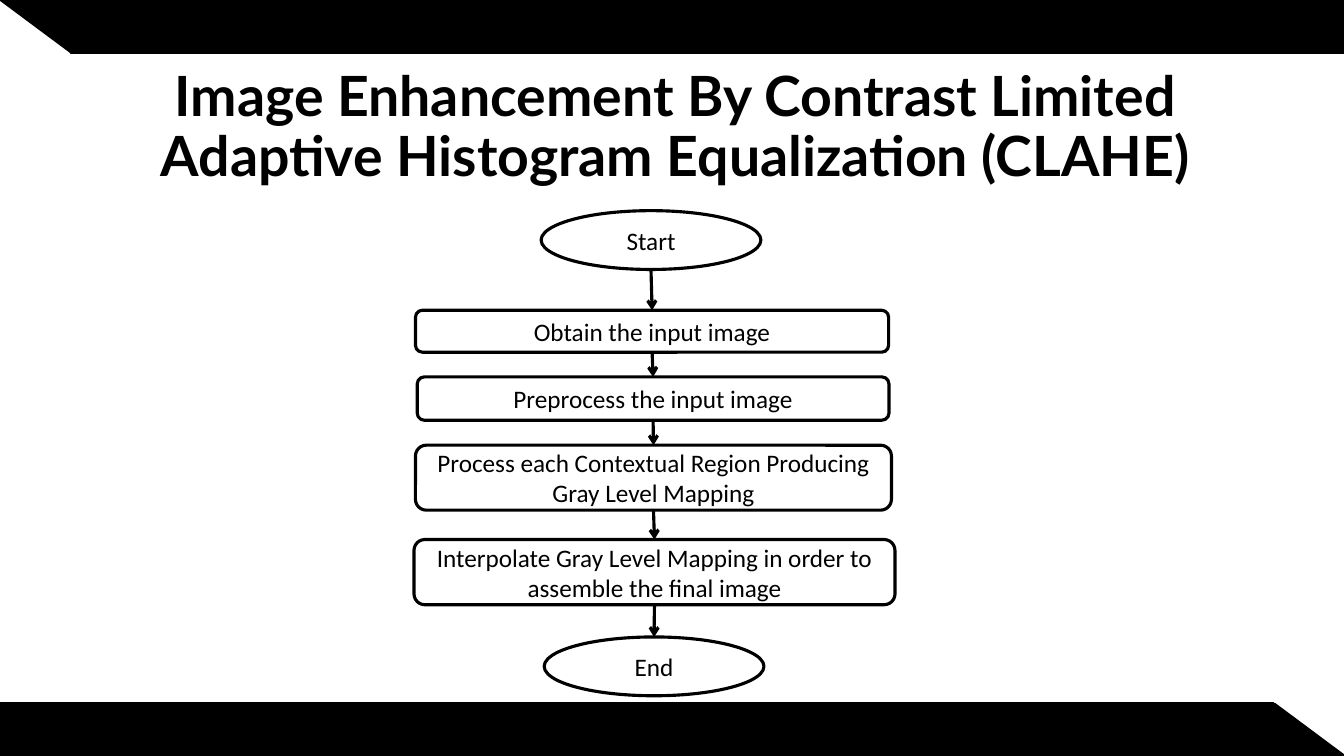
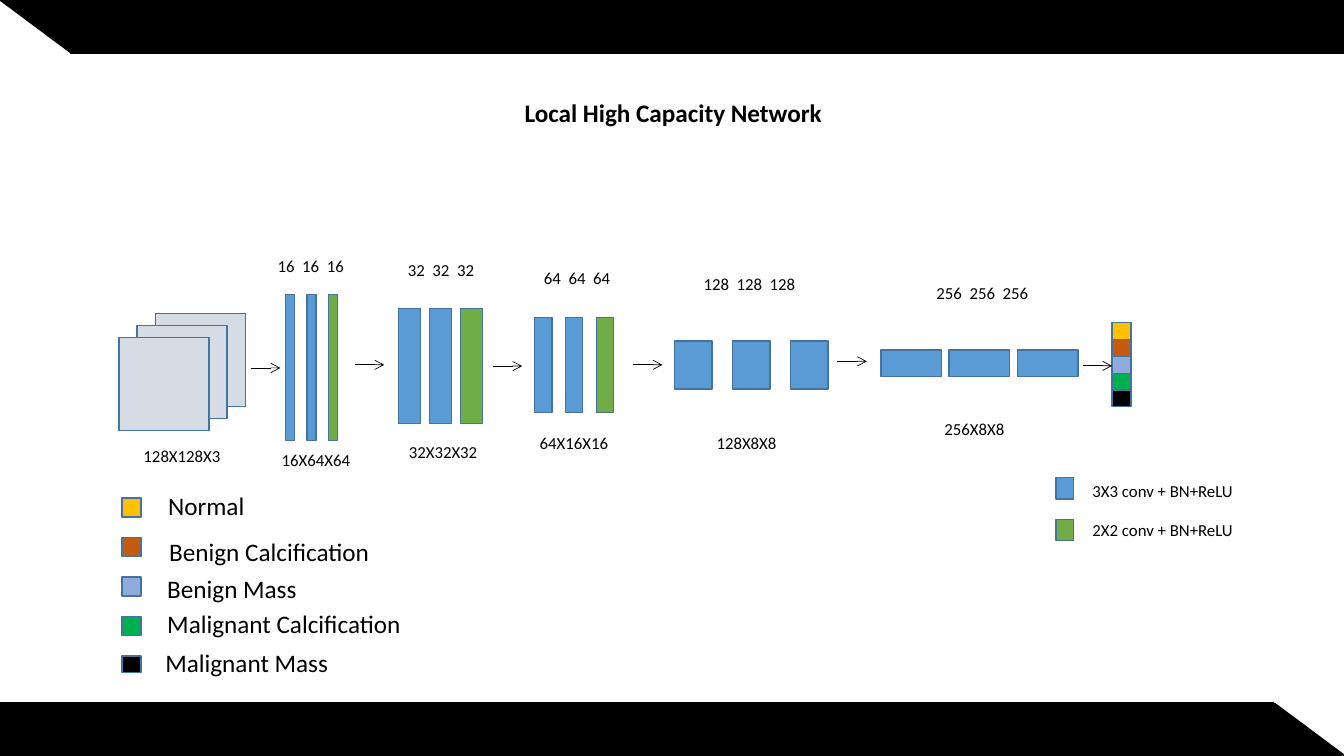
from typing import NamedTuple

from lxml.etree import SubElement
from pptx import Presentation
from pptx.dml.color import RGBColor
from pptx.enum.shapes import MSO_CONNECTOR as Conn, MSO_SHAPE as Form
from pptx.enum.text import MSO_ANCHOR as Anchor, PP_ALIGN as Align
from pptx.oxml.ns import qn
from pptx.shapes.autoshape import Shape
from pptx.shapes.connector import Connector
from pptx.slide import Slide
from pptx.util import Pt

BLACK = RGBColor(0x00, 0x00, 0x00)
WHITE = RGBColor(0xFF, 0xFF, 0xFF)
EDGE = RGBColor(0x43, 0x73, 0x9E)
PALE = RGBColor(0xD6, 0xDC, 0xE5)
BLUE = RGBColor(0x5B, 0x9B, 0xD5)
LEAF = RGBColor(0x70, 0xAD, 0x47)
GOLD = RGBColor(0xFF, 0xC0, 0x00)
RUST = RGBColor(0xC5, 0x5A, 0x11)
LILAC = RGBColor(0x8F, 0xAA, 0xDC)
GREEN = RGBColor(0x00, 0xB0, 0x50)

WIDE, HIGH = 960, 540
BODY = "Calibri"
LABEL_W, LABEL_H = 90, 21.6
ARROW_W = 21


class Box(NamedTuple):
    x: float
    y: float
    w: float
    h: float


class Step(NamedTuple):
    form: Form
    box: Box
    text: str


class Stage(NamedTuple):
    depth: int
    size: str
    first: Box
    pitch: float
    fills: tuple[RGBColor, ...]
    top: tuple[float, float]
    foot: tuple[float, float]


class Kind(NamedTuple):
    fill: RGBColor
    name: str
    x: float
    y: float


POOLED = (BLUE, BLUE, LEAF)
PLAIN = (BLUE,) * 3

STEPS = (
    Step(Form.OVAL, Box(386.5, 150.5, 157, 42), "Start"),
    Step(Form.ROUNDED_RECTANGLE, Box(296.8, 221.6, 338, 30),
         "Obtain the input image"),
    Step(Form.ROUNDED_RECTANGLE, Box(298, 269.2, 337, 31),
         "Preprocess the input image"),
    Step(Form.ROUNDED_RECTANGLE, Box(296.8, 318, 340, 46.4),
         "Process each Contextual Region Producing Gray Level Mapping"),
    Step(Form.ROUNDED_RECTANGLE, Box(295.7, 385.4, 343.6, 46.6),
         "Interpolate Gray Level Mapping in order to assemble the final image"),
    Step(Form.OVAL, Box(388.7, 455, 157, 42), "End"),
)

STAGES = (
    Stage(16, "16X64X64", Box(203.8, 210.3, 6.5, 104.3), 15.5, POOLED,
          (177, 179.3), (180.7, 317.5)),
    Stage(32, "32X32X32", Box(284.5, 220.3, 15.8, 82), 22.2, POOLED,
          (270, 182.3), (271.5, 312.3)),
    Stage(64, "64X16X16", Box(382, 227, 12.3, 67.5), 22, POOLED,
          (367.2, 187.8), (365, 305.3)),
    Stage(128, "128X8X8", Box(481.7, 243.5, 27, 34.5), 41.4, PLAIN,
          (490.3, 192.2), (488.2, 305.3)),
    Stage(256, "256X8X8", Box(629.2, 250, 43.4, 18.8), 48.7, PLAIN,
          (656.7, 198.7), (651, 295.8)),
)

KINDS = (
    Kind(GOLD, "Normal", 113, 347),
    Kind(RUST, "Benign Calcification", 113.8, 379.4),
    Kind(LILAC, "Benign Mass", 112.4, 406),
    Kind(GREEN, "Malignant Calcification", 112.4, 430.6),
    Kind(BLACK, "Malignant Mass", 111, 458.8),
)

ARROWS = ((179.3, 262.8), (253.5, 260.6), (352, 261.5),
          (452.2, 260.6), (598.2, 258.1))


def write(shape: Shape, text: str, size: float, align: Align = Align.CENTER,
          font: str = BODY, bold: bool = False) -> None:
    shape.text_frame.word_wrap = True
    par = shape.text_frame.paragraphs[0]
    par.text = text
    par.alignment = align
    par.font.name, par.font.size, par.font.bold = font, Pt(size), bold
    par.font.color.rgb = BLACK


def draw(slide: Slide, form: Form, box: Box, fill: RGBColor,
         edge: RGBColor = EDGE, width: float = 1) -> Shape:
    shape = slide.shapes.add_shape(form, *map(Pt, box))
    shape.shadow.inherit = False
    shape.fill.solid()
    shape.fill.fore_color.rgb = fill
    shape.line.color.rgb = edge
    shape.line.width = Pt(width)
    return shape


def label(slide: Slide, box: Box, text: str, size: float,
          align: Align = Align.CENTER) -> None:
    write(slide.shapes.add_textbox(*map(Pt, box)), text, size, align)


def arrow(slide: Slide, x: float, y: float, x2: float, y2: float,
          width: float) -> Connector:
    line = slide.shapes.add_connector(
        Conn.STRAIGHT, Pt(x), Pt(y), Pt(x2), Pt(y2))
    line.line.color.rgb = BLACK
    line.line.width = Pt(width)
    props = line._element.spPr
    SubElement(props.find(qn("a:ln")), qn("a:tailEnd"), type="arrow")
    SubElement(props, qn("a:effectLst"))
    return line


def frame(deck: Presentation, title: str, box: Box, size: float,
          font: str) -> Slide:
    """Add a slide with its title and the two cut bands."""
    slide = deck.slides.add_slide(deck.slide_layouts[6])
    head = slide.shapes.add_textbox(*map(Pt, box))
    head.text_frame.vertical_anchor = Anchor.MIDDLE
    write(head, title, size, font=font, bold=True)
    head.text_frame.paragraphs[0].line_spacing = 0.9

    band, cut = 38, 50.4
    for x, y in ((0, HIGH - band), (cut, 0)):
        draw(slide, Form.RECTANGLE, Box(x, y, WIDE - cut, band), BLACK, BLACK)
    for x, y, turn in ((0, 0, 180), (WIDE - cut + 1, HIGH - band + 0.5, 0)):
        wedge = draw(slide, Form.RIGHT_TRIANGLE,
                     Box(x, y, cut, band - 0.5), BLACK, BLACK)
        wedge.rotation = turn
    return slide


def flow(deck: Presentation) -> None:
    slide = frame(
        deck,
        "Image Enhancement By Contrast Limited Adaptive Histogram "
        "Equalization (CLAHE)",
        Box(68.4, 53.3, 828, 77), 39.6, "Lato")
    nodes = []
    for step in STEPS:
        node = draw(slide, step.form, step.box, WHITE, BLACK, 2.25)
        node.text_frame.vertical_anchor = Anchor.MIDDLE
        write(node, step.text, 18)
        nodes.append(node)

    # Arrows between neighbours
    for i, (a, b) in enumerate(zip(STEPS, STEPS[1:])):
        line = arrow(slide, a.box.x + a.box.w / 2, a.box.y + a.box.h,
                     b.box.x + b.box.w / 2, b.box.y, 2.25)
        if a.form == Form.ROUNDED_RECTANGLE:
            line.begin_connect(nodes[i], 2)
        line.end_connect(nodes[i + 1], 0)


def network(deck: Presentation) -> None:
    slide = frame(deck, "Local High Capacity Network",
                  Box(67, 43.2, 828, 77), 18, BODY)

    # Input planes
    for i in range(3):
        draw(slide, Form.RECTANGLE,
             Box(111 - 13 * i, 224 + 8.6 * i, 64.3, 66.4), PALE)
    label(slide, Box(85, 314.6, LABEL_W, LABEL_H), "128X128X3", 12)

    # Layers
    for stage in STAGES:
        for i, fill in enumerate(stage.fills):
            x = stage.first.x + i * stage.pitch
            draw(slide, Form.RECTANGLE, stage.first._replace(x=x), fill)
        depths = "  ".join([str(stage.depth)] * len(stage.fills))
        label(slide, Box(*stage.top, LABEL_W, LABEL_H), depths, 12)
        label(slide, Box(*stage.foot, LABEL_W, LABEL_H), stage.size, 12)

    # Output cells and the key to their classes
    cells = []
    for i, kind in enumerate(KINDS):
        high = 11.6 if kind.fill == BLACK else 13.5
        for x, y in ((794.3, 230.5 + 12.05 * i), (87.3, 355.8 + 28.2 * i)):
            cells.append(draw(slide, Form.RECTANGLE,
                              Box(x, y, 13.5, high), kind.fill))
        label(slide, Box(kind.x, kind.y, 205, 29), kind.name, 18, Align.LEFT)
    middle = cells[4]

    # Key to the layers
    for fill, text, y, text_y in (
            (BLUE, "3X3 conv + BN+ReLU", 341.2, 339.8),
            (LEAF, "2X2 conv + BN+ReLU", 370.9, 368)):
        draw(slide, Form.RECTANGLE, Box(754.4, y, 12.6, 15.2), fill)
        label(slide, Box(773.3, text_y, 152, LABEL_H), text, 12, Align.LEFT)

    # Arrows between stages
    for x, y in ARROWS:
        arrow(slide, x, y, x + ARROW_W, y, 0.5)
    y = 261.35
    last = arrow(slide, 773.3, y, 794.3, y, 0.5)
    last.end_connect(middle, 1)


def main() -> None:
    deck = Presentation()
    deck.slide_width, deck.slide_height = Pt(WIDE), Pt(HIGH)
    flow(deck)
    network(deck)
    deck.save("out.pptx")


if __name__ == "__main__":
    main()
